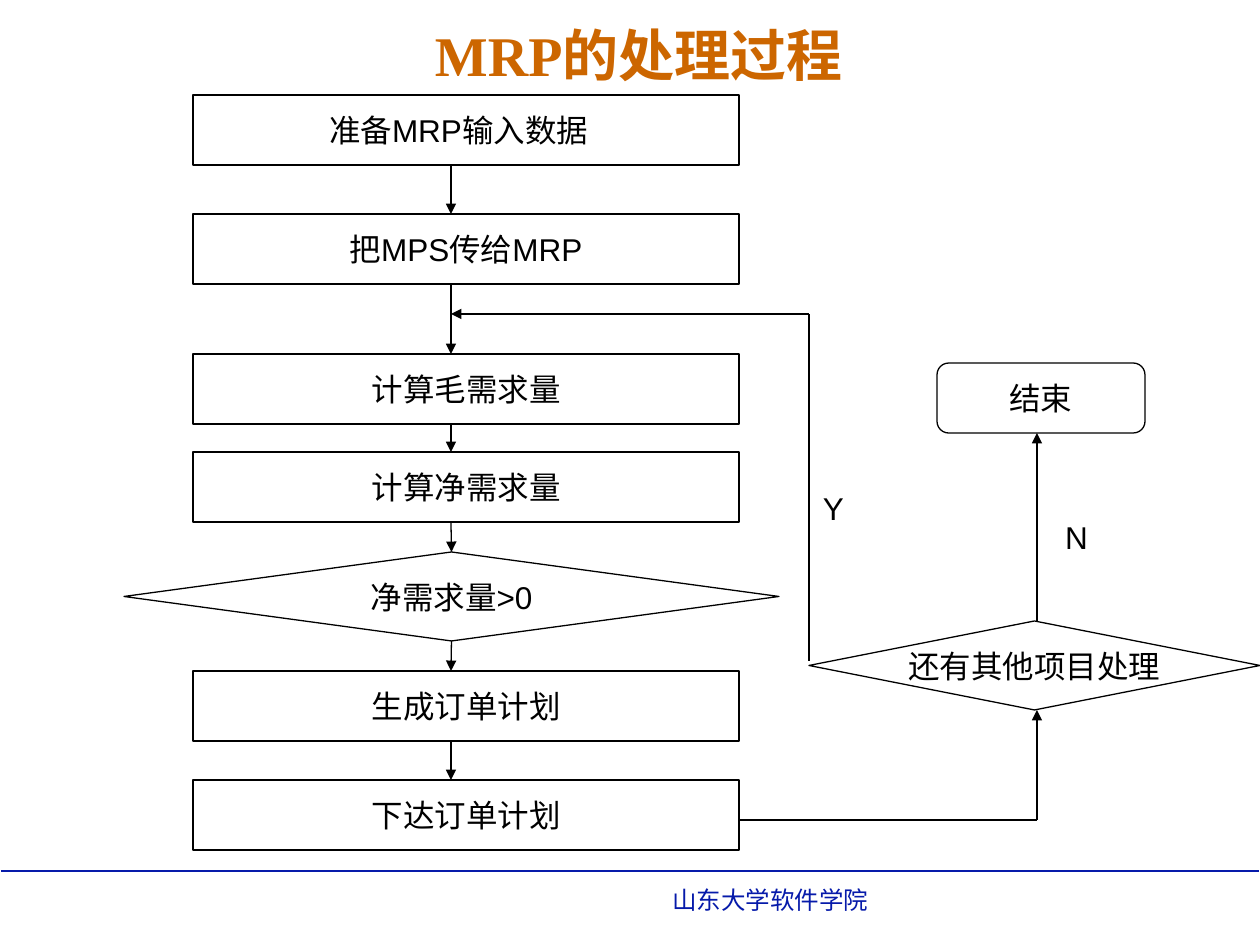
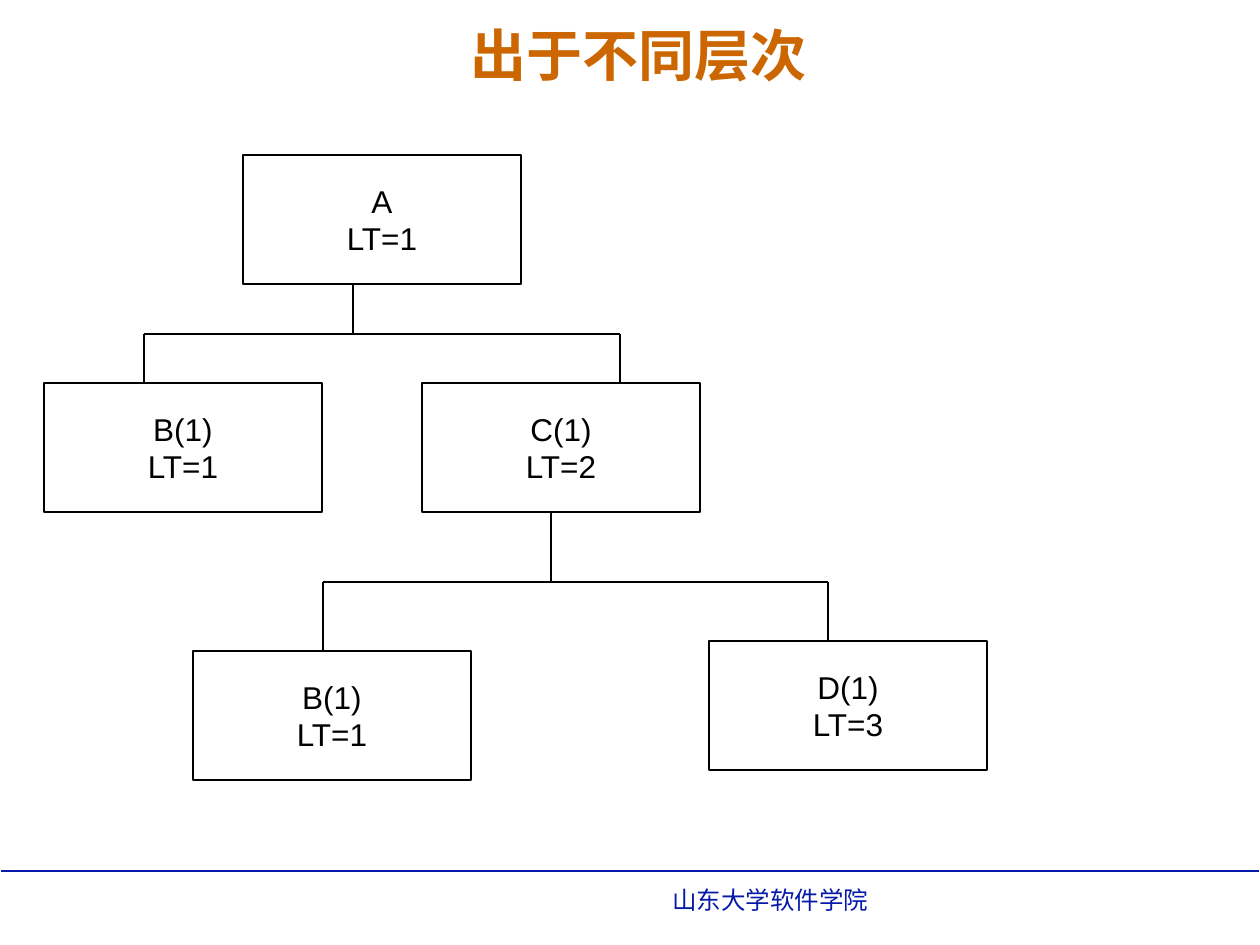
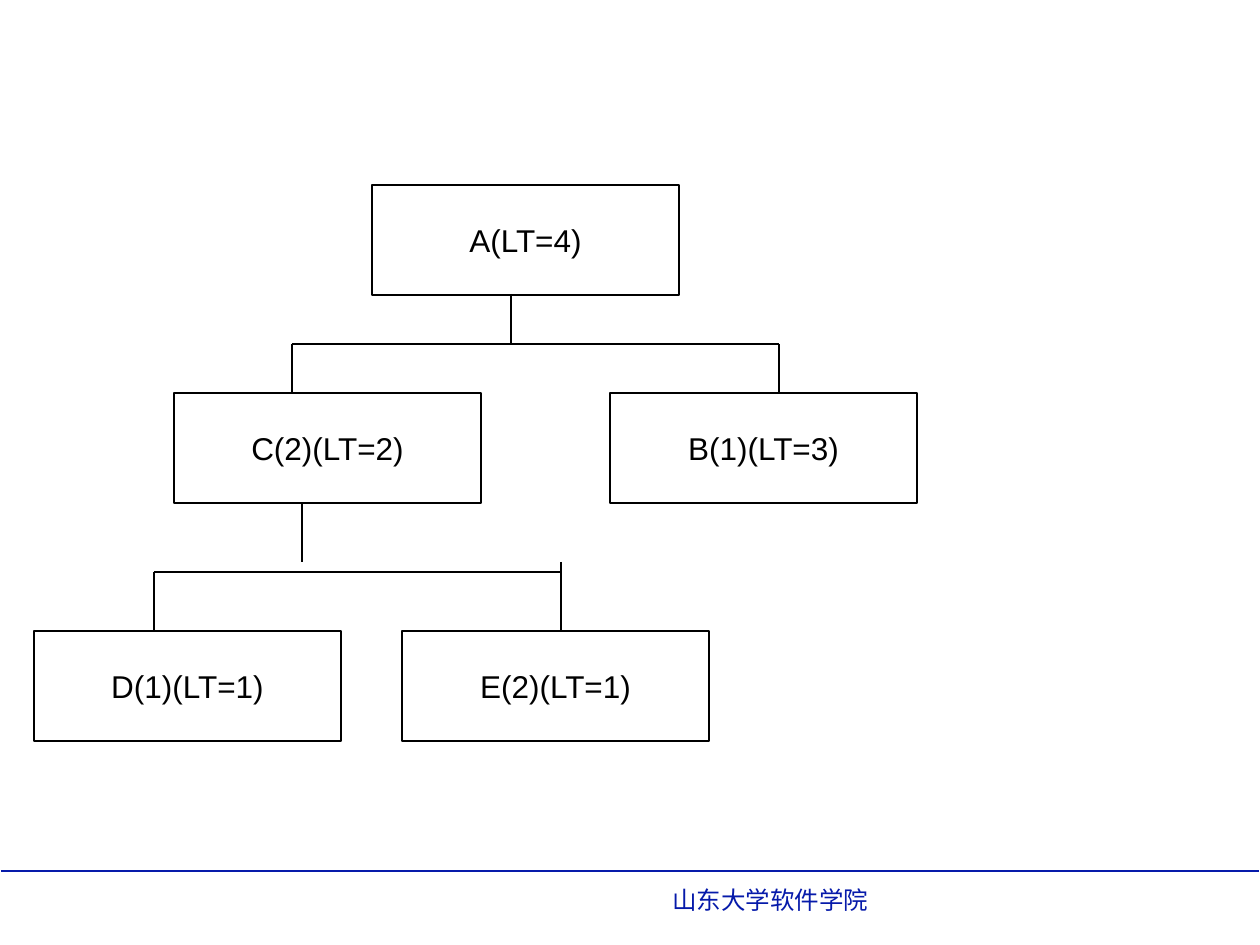
from pptx import Presentation
from pptx.dml.color import RGBColor
from pptx.enum.shapes import MSO_CONNECTOR, MSO_SHAPE
from pptx.enum.text import MSO_ANCHOR, PP_ALIGN
from pptx.oxml.ns import qn
from pptx.util import Pt
from lxml import etree

RECTANGLE = MSO_SHAPE.RECTANGLE
DIAMOND = MSO_SHAPE.DIAMOND
ROUNDED = MSO_SHAPE.ROUNDED_RECTANGLE
STRAIGHT = MSO_CONNECTOR.STRAIGHT
LEFT, CENTER = PP_ALIGN.LEFT, PP_ALIGN.CENTER
TOP, MIDDLE = MSO_ANCHOR.TOP, MSO_ANCHOR.MIDDLE
TOP_SIDE, BOTTOM_SIDE = 0, 2

COLORS = {"ink": "000000", "title": "CC6600", "footer": "061AAA"}
PX_PER_INCH = 126
PAGE_WIDTH, PAGE_HEIGHT = 1260, 945
INSETS = (13, 6, 13, 6)


def px(length):
    return round(length * 914400 / PX_PER_INCH)


def color(name):
    return RGBColor.from_string(COLORS[name])


def write(shape, text, size=18, font="Arial", ink="ink", bold=False,
          align=CENTER, anchor=MIDDLE, wrap=True, insets=INSETS):
    """Fill a shape with text, one paragraph per line."""
    frame = shape.text_frame
    frame.word_wrap = wrap
    frame.vertical_anchor = anchor
    (frame.margin_left, frame.margin_top,
     frame.margin_right, frame.margin_bottom) = map(px, insets)
    for index, line in enumerate(text.split("\n")):
        para = frame.add_paragraph() if index else frame.paragraphs[0]
        para.alignment = align
        span = para.add_run()
        span.text = line
        span.font.name = font
        span.font.size = Pt(size)
        span.font.bold = bold
        span.font.color.rgb = color(ink)


class SlideMaker:
    """Holds the deck, its shared style and the current page."""

    def __init__(self):
        self.deck = Presentation()
        self.deck.slide_width = px(PAGE_WIDTH)
        self.deck.slide_height = px(PAGE_HEIGHT)
        self.page = None

    def new_page(self, title=None):
        self.page = self.deck.slides.add_slide(self.deck.slide_layouts[6])
        self.line((1, 871), (1259, 871), ink="footer", width=1)
        self.label(659, 879, 546, 43, "山东大学软件学院",
                   size=14, ink="footer", align=LEFT)
        if title:
            self.label(50, 16, 1178, 76, title, size=32, font="Times New Roman",
                       ink="title", bold=True, anchor=MIDDLE, insets=(0, 0, 0, 0))

    def label(self, left, top, width, height, text, anchor=TOP, **style):
        box = self.page.shapes.add_textbox(px(left), px(top), px(width), px(height))
        write(box, text, anchor=anchor, **style)

    def node(self, left, top, width, height, text, kind=RECTANGLE, **style):
        shape = self.page.shapes.add_shape(
            kind, px(left), px(top), px(width), px(height))
        shape.shadow.inherit = False
        shape.fill.background()
        shape.line.color.rgb = color("ink")
        shape.line.width = Pt(0.75)
        write(shape, text, wrap=False, **style)
        return shape

    def line(self, start, end, ink="ink", width=0.75, arrow=False):
        connector = self.page.shapes.add_connector(
            STRAIGHT, *map(px, start), *map(px, end))
        connector.line.color.rgb = color(ink)
        connector.line.width = Pt(width)
        if arrow:
            etree.SubElement(connector.line._get_or_add_ln(),
                             qn("a:tailEnd"), type="triangle")
        etree.SubElement(connector._element.spPr, qn("a:effectLst"))
        return connector

    def route(self, *points):
        """Straight pieces through the points, with an arrow on the last."""
        for index in range(1, len(points)):
            self.line(points[index - 1], points[index],
                      arrow=index == len(points) - 1)

    def branch(self, stem, bus, drops):
        """A stem down to a horizontal bus, and drops from it to the children."""
        self.line(stem, (stem[0], bus))
        self.line((drops[0][0], bus), (drops[-1][0], bus))
        for x, bottom in drops:
            self.line((x, bus), (x, bottom))


def process_page(maker):
    maker.new_page("MRP 的处理过程".replace(" ", ""))
    axis, step_height = 451, 70

    # Processing steps, top to bottom
    steps = [(95, "准备MRP输入数据"), (214, "把MPS传给MRP"),
             (354, "计算毛需求量"), (452, "计算净需求量"),
             (671, "生成订单计划"), (780, "下达订单计划")]
    for top, text in steps:
        # The first caption sits slightly left of the middle
        insets = (13, 6, 28, 6) if top == steps[0][0] else INSETS
        maker.node(193, top, 546, step_height, text, insets=insets)
    demand = maker.node(124, 552, 655, 89, "净需求量>0", kind=DIAMOND)
    maker.node(809, 621, 451, 89, "还有其他项目处理", kind=DIAMOND)
    maker.node(937, 363, 208, step_height, "结束", kind=ROUNDED)

    # Arrows between the steps; the demand check lies between the 4th and 5th
    for (top, _), (next_top, _) in zip(steps, steps[1:]):
        bottom = top + step_height
        if bottom < 552 < next_top:
            into = maker.line((axis, bottom), (axis, 552), arrow=True)
            into.end_connect(demand, TOP_SIDE)
            out = maker.line((axis, 641), (axis, next_top), arrow=True)
            out.begin_connect(demand, BOTTOM_SIDE)
        else:
            maker.line((axis, bottom), (axis, next_top), arrow=True)

    # Check for further items: loop back or finish
    maker.route((739, 820), (1037, 820), (1037, 710))
    maker.route((809, 661), (809, 314), (axis, 314))
    maker.route((1037, 621), (1037, 433))
    maker.label(769, 483, 129, 50, "Y")
    maker.label(1007, 512, 139, 50, "N")


def levels_page(maker):
    maker.new_page("出于不同层次")
    for left, top, text in [(243, 155, "A\nLT=1"), (44, 383, "B(1)\nLT=1"),
                            (422, 383, "C(1)\nLT=2"), (193, 651, "B(1)\nLT=1"),
                            (709, 641, "D(1)\nLT=3")]:
        maker.node(left, top, 278, 129, text)
    maker.branch((353, 284), 334, [(144, 383), (620, 383)])
    maker.branch((551, 512), 582, [(323, 651), (828, 641)])


def lead_time_page(maker):
    maker.new_page()
    for left, top, text in [(372, 185, "A(LT=4)"), (174, 393, "C(2)(LT=2)"),
                            (610, 393, "B(1)(LT=3)"), (34, 631, "D(1)(LT=1)"),
                            (402, 631, "E(2)(LT=1)")]:
        maker.node(left, top, 307, 110, text)
    maker.branch((511, 294), 344, [(292, 393), (779, 393)])

    # The lower stem stops short of its bus, and the right drop rises above it
    for start, end in [((302, 503), (302, 562)), ((154, 572), (561, 572)),
                       ((154, 572), (154, 631)), ((561, 562), (561, 631))]:
        maker.line(start, end)


def main():
    maker = SlideMaker()
    process_page(maker)
    levels_page(maker)
    lead_time_page(maker)
    maker.deck.save("out.pptx")


if __name__ == "__main__":
    main()
